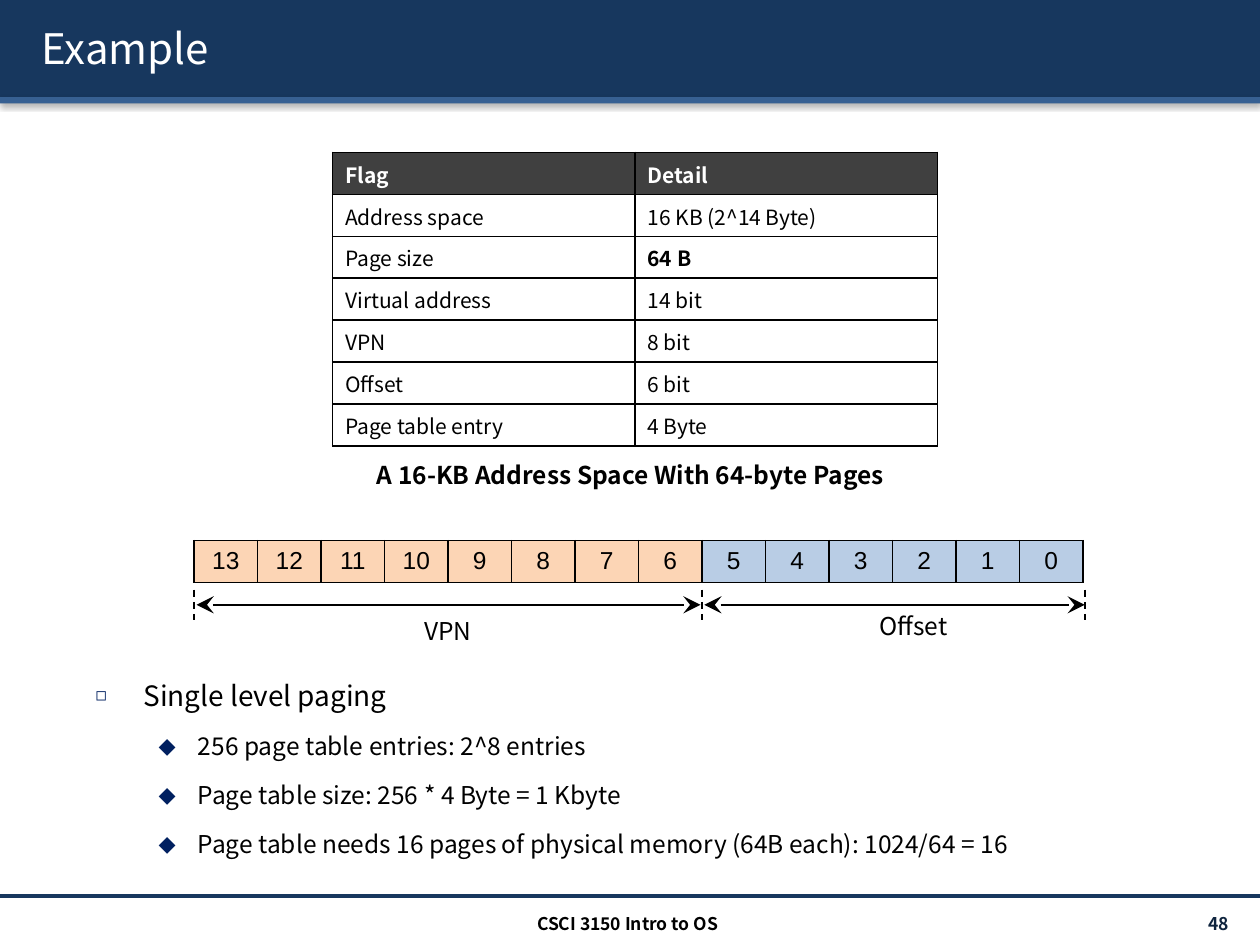
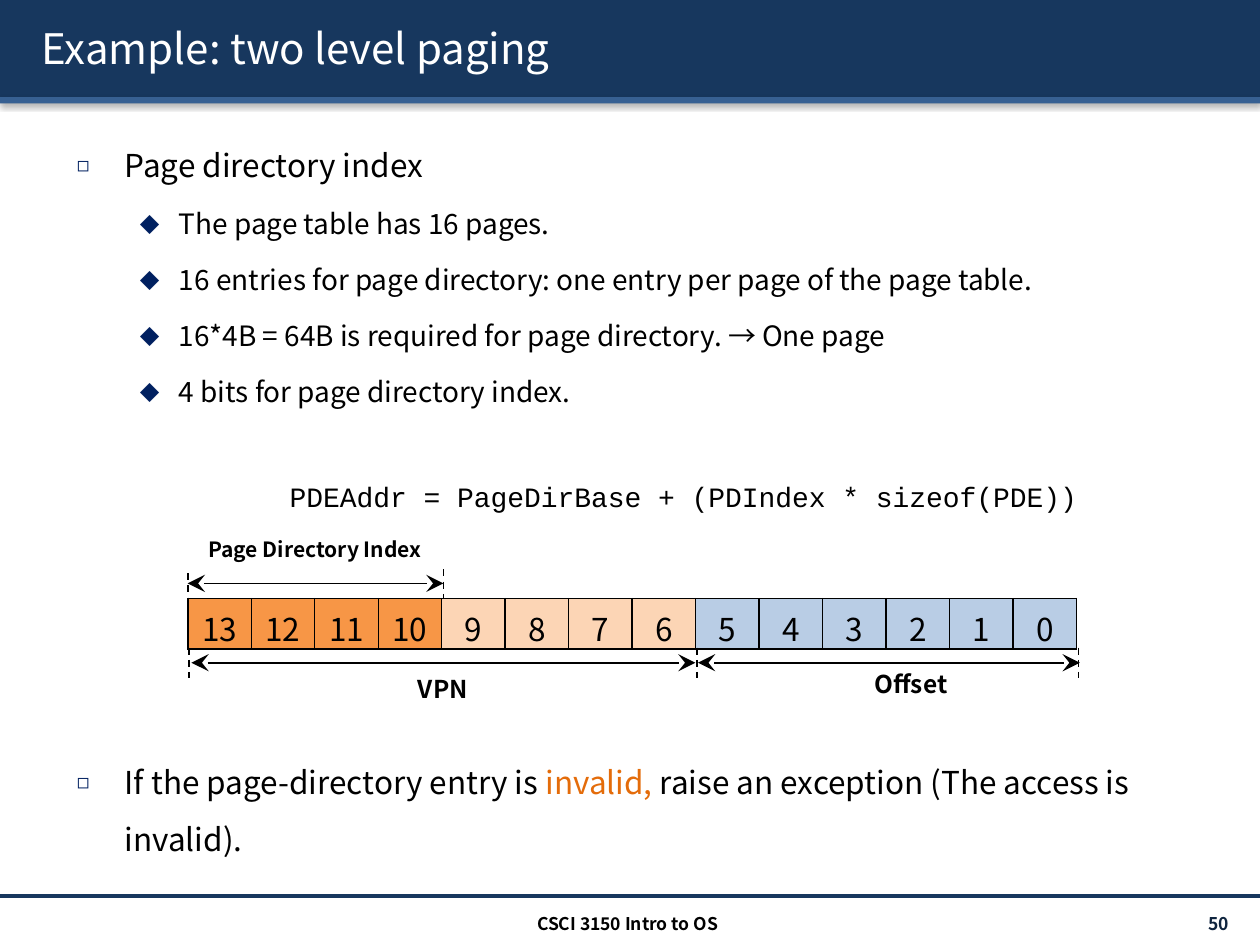
from dataclasses import dataclass
from pptx import Presentation
from pptx.dml.color import RGBColor
from pptx.enum.dml import MSO_LINE
from pptx.enum.shapes import MSO_CONNECTOR, MSO_SHAPE
from pptx.enum.text import MSO_ANCHOR, MSO_AUTO_SIZE, PP_ALIGN as Align
from pptx.oxml import parse_xml
from pptx.oxml.ns import nsdecls
from pptx.util import Inches, Pt


@dataclass(frozen=True)
class Theme:
    navy: str = "17375E"
    steel: str = "376092"
    number: str = "0F243E"
    bullet: str = "002060"
    black: str = "000000"
    white: str = "FFFFFF"
    header: str = "404040"
    directory: str = "F79646"
    vpn: str = "FCD5B5"
    offset: str = "B9CDE5"
    alert: str = "E46C0A"
    sans: str = "Noto Sans CJK KR"
    arial: str = "Arial"
    code: str = "Courier New"
    title: int = 24
    large: int = 18
    medium: int = 16
    small: int = 14
    cell: int = 12
    footer: int = 10


theme = Theme()
ns = nsdecls("a")


def style(para, size, color=theme.black, bold=False, font=theme.sans):
    for span in para.runs:
        span.font.name = font
        span.font.size = Pt(size)
        span.font.bold = bold
        span.font.color.rgb = RGBColor.from_string(color)


def add_grid(page, at, rows, fills, size, font, align):
    left, top, width, height = map(Inches, at)
    grid = page.shapes.add_table(len(rows), len(rows[0]), left, top, width, height).table
    grid.first_row = grid.horz_banding = False
    for column in grid.columns:
        column.width = width // len(rows[0])
    for r, row in enumerate(rows):
        for c, text in enumerate(row):
            cell = grid.cell(r, c)
            cell.text = text
            cell.fill.solid()
            cell.fill.fore_color.rgb = RGBColor.from_string(fills[r][c])
            para = cell.text_frame.paragraphs[0]
            para.alignment = align
            style(para, size, font=font)
            for i, side in enumerate("LRTB"):
                cell._tc.get_or_add_tcPr().insert(i, parse_xml(
                    f'<a:ln{side} {ns} w="12700"><a:solidFill><a:srgbClr val="{theme.black}"/>'
                    f'</a:solidFill></a:ln{side}>'))
    return grid


deck = Presentation()
deck.slide_width, deck.slide_height = Inches(10), Inches(7.5)
layout = deck.slide_layouts[1]
pages = [deck.slides.add_slide(layout) for _ in range(2)]

marks = []
for top, height, color in [(0, 0.77, theme.navy), (0.77, 0.05, theme.steel)]:
    band = pages[0].shapes.add_shape(
        MSO_SHAPE.RECTANGLE, 0, Inches(top), deck.slide_width, Inches(height))
    band.fill.solid()
    band.fill.fore_color.rgb = RGBColor.from_string(color)
    band.line.fill.background()
    band.shadow.inherit = False
    band.element.spPr.find("{*}effectLst").append(parse_xml(
        f'<a:outerShdw {ns} blurRad="40000" dist="20000" dir="5400000" rotWithShape="0">'
        f'<a:srgbClr val="{theme.black}"><a:alpha val="38000"/></a:srgbClr></a:outerShdw>'))
    marks.append(band)
rule = pages[0].shapes.add_connector(
    MSO_CONNECTOR.STRAIGHT, 0, Inches(7.11), deck.slide_width, Inches(7.11))
rule.line.width = Pt(2)
rule.line.color.rgb = RGBColor.from_string(theme.navy)
rule.element.spPr.append(parse_xml(f"<a:effectLst {ns}/>"))
marks.append(rule)
for i, mark in enumerate(marks):
    mark.element.xpath(".//p:cNvPr")[0].set("id", str(20 + i))
    layout.shapes.element.insert(2 + i, mark.element)

titles = ["Example", "Example: two level paging"]
numbers = ["48", "50"]
body_places = [(0.66, 5.2, 8.05, 1.73), (0.51, 0.96, 9.33, 6.02)]
body_sizes = [(theme.medium, theme.small), (theme.large, theme.medium)]
bodies = [
    [
        (0, "Single level paging"),
        (1, "256 page table entries: 2^8 entries"),
        (1, "Page table size: 256 * 4 Byte = 1 Kbyte"),
        (1, "Page table needs 16 pages of physical memory (64B each): 1024/64 = 16"),
    ],
    [
        (0, "Page directory index"),
        (1, "The page table has 16 pages."),
        (1, "16 entries for page directory: one entry per page of the page table."),
        (1, "16*4B = 64B is required for page directory. → One page"),
        (1, "4 bits for page directory index."),
        (1, "PDEAddr = PageDirBase + (PDIndex * sizeof(PDE))"),
        (0, "If the page-directory entry is "),
    ],
]
bullets = [("◻", 65, 0.38, 0.38), ("⬥", 100, 0.81, 0.31)]

for page, title, number, place, sizes, body in zip(
        pages, titles, numbers, body_places, body_sizes, bodies):
    heading = page.shapes.title
    heading.left, heading.top, heading.width, heading.height = map(Inches, (0.23, 0.06, 9.61, 0.64))
    heading.text_frame.text = title
    heading.text_frame.vertical_anchor = MSO_ANCHOR.MIDDLE
    heading.text_frame.auto_size = MSO_AUTO_SIZE.NONE
    para = heading.text_frame.paragraphs[0]
    para.alignment = Align.LEFT
    style(para, theme.title, theme.white)
    para.runs[0]._r.get_or_add_rPr().find("{*}solidFill").addnext(parse_xml(
        f'<a:effectLst {ns}><a:outerShdw blurRad="38100" dist="38100" dir="2700000">'
        f'<a:srgbClr val="{theme.black}"/></a:outerShdw></a:effectLst>'))

    content = page.placeholders[1]
    content.left, content.top, content.width, content.height = map(Inches, place)
    frame = content.text_frame
    frame.auto_size = MSO_AUTO_SIZE.NONE
    frame.text = "\n".join(text for _, text in body)
    for i, (para, (level, _)) in enumerate(zip(frame.paragraphs, body)):
        symbol, percent, margin, hanging = bullets[level]
        props = para._p.get_or_add_pPr()
        props.set("marL", str(Inches(margin)))
        props.set("indent", str(-Inches(hanging)))
        for xml in (f'<a:buClr {ns}><a:srgbClr val="{theme.bullet}"/></a:buClr>',
                    f'<a:buSzPct {ns} val="{percent * 1000}"/>',
                    f'<a:buChar {ns} char="{symbol}"/>'):
            props.append(parse_xml(xml))
        para.level = level
        para.line_spacing = 1.5
        para.space_before = Pt(sizes[level] * 0.2 if i else 0)
        style(para, sizes[level])

    for text, left, width, align, color in [
            (number, 8.71, 1.14, Align.RIGHT, theme.number),
            ("CSCI 3150 Intro to OS", 3.32, 3.32, Align.CENTER, theme.black)]:
        box = page.shapes.add_textbox(Inches(left), Inches(7.21), Inches(width), Inches(0.24))
        box.text_frame.word_wrap = True
        box.text_frame.vertical_anchor = MSO_ANCHOR.MIDDLE
        box.text_frame.text = text
        para = box.text_frame.paragraphs[0]
        para.alignment = align
        style(para, theme.footer, color, True)

formula, warning = pages[1].placeholders[1].text_frame.paragraphs[-2:]
props = formula._p.get_or_add_pPr()
for bullet in props.xpath("./a:buClr | ./a:buSzPct | ./a:buChar"):
    props.remove(bullet)
props.append(parse_xml(f"<a:buNone {ns}/>"))
props.set("marL", str(Inches(0.5)))
props.set("indent", "0")
formula.alignment = Align.CENTER
formula.space_before = Pt(31.3)
style(formula, theme.medium, font=theme.code)
warning.space_before = Pt(132.3)
for text in ("invalid, ", "raise an exception (The access is invalid)."):
    warning.add_run().text = text
style(warning, theme.large)
warning.runs[1].font.color.rgb = RGBColor.from_string(theme.alert)

flags = [
    ("Flag", "Detail"),
    ("Address space", "16 KB (2^14 Byte)"),
    ("Page size", "64 B"),
    ("Virtual address", "14 bit"),
    ("VPN", "8 bit"),
    ("Offset", "6 bit"),
    ("Page table entry", "4 Byte"),
]
flag_fills = [[theme.header] * 2] + [[theme.white] * 2] * 6
flag_table = add_grid(pages[0], (2.64, 1.21, 4.8, 2.33), flags, flag_fills,
                      theme.cell, theme.sans, Align.LEFT)
for c in range(2):
    style(flag_table.cell(0, c).text_frame.paragraphs[0], theme.cell, theme.white, True)
style(flag_table.cell(2, 1).text_frame.paragraphs[0], theme.cell, bold=True)

bits = [[str(bit) for bit in range(13, -1, -1)]]
vpn_fills = [theme.vpn] * 8 + [theme.offset] * 6
directory_fills = [theme.directory] * 4 + vpn_fills[4:]
add_grid(pages[0], (1.54, 4.29, 7.06, 0.33), bits, [vpn_fills],
         theme.small, theme.arial, Align.CENTER)
add_grid(pages[1], (1.49, 4.75, 7.06, 0.4), bits, [directory_fills],
         theme.large, theme.sans, Align.CENTER)

labels = [
    (0, "A 16-KB Address Space With 64-byte Pages", 2.76, 3.6, 4.49, theme.small, True),
    (0, "VPN", 3.26, 4.84, 0.59, theme.small, False),
    (0, "Offset", 6.88, 4.8, 0.74, theme.small, False),
    (1, "VPN", 3.21, 5.3, 0.61, theme.small, True),
    (1, "Offset", 6.84, 5.26, 0.78, theme.small, True),
    (1, "Page Directory Index", 1.55, 4.21, 1.9, theme.cell, True),
]
for index, text, left, top, width, size, bold in labels:
    box = pages[index].shapes.add_textbox(
        Inches(left), Inches(top), Inches(width), Inches(0.34 if size == theme.small else 0.3))
    box.text_frame.word_wrap = False
    box.text_frame.text = text
    para = box.text_frame.paragraphs[0]
    para.alignment = Align.CENTER
    style(para, size, bold=bold)

ticks = [(0, x, 4.68, 4.92) for x in (1.54, 5.57, 8.61)]
ticks += [(1, x, 5.14, 5.38) for x in (1.5, 5.53, 8.56)]
ticks += [(1, 1.49, 4.55, 4.78), (1, 3.52, 4.52, 4.75)]
spans = [
    (0, 1.56, 5.56, 4.8),
    (0, 5.59, 8.61, 4.8),
    (1, 1.52, 5.52, 5.26),
    (1, 5.54, 8.57, 5.26),
    (1, 1.49, 3.52, 4.63),
]
lines = [(index, x, top, x, bottom, False) for index, x, top, bottom in ticks]
lines += [(index, start, y, end, y, True) for index, start, end, y in spans]
for index, x1, y1, x2, y2, is_arrow in lines:
    line = pages[index].shapes.add_connector(
        MSO_CONNECTOR.STRAIGHT, Inches(x1), Inches(y1), Inches(x2), Inches(y2))
    line.line.width = Pt(1)
    line.line.color.rgb = RGBColor.from_string(theme.black)
    if is_arrow:
        for end in ("headEnd", "tailEnd"):
            line.element.spPr.find("{*}ln").append(
                parse_xml(f'<a:{end} {ns} type="stealth" w="lg" len="lg"/>'))
    else:
        line.line.dash_style = MSO_LINE.DASH
    line.element.spPr.append(parse_xml(f"<a:effectLst {ns}/>"))

deck.save("out.pptx")
